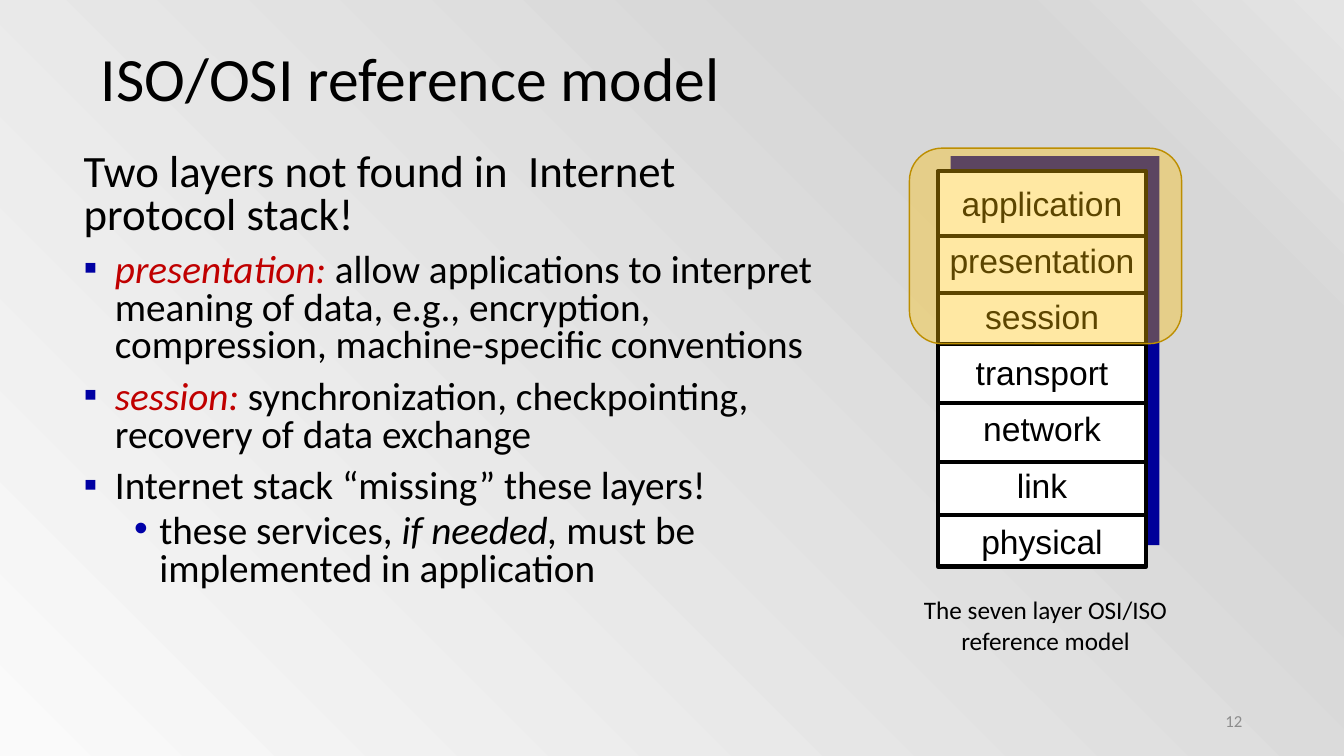
from copy import deepcopy

from lxml.etree import SubElement
from pptx import Presentation
from pptx.dml.color import RGBColor
from pptx.enum.shapes import MSO_CONNECTOR as Connector, MSO_SHAPE as Shape
from pptx.enum.text import MSO_ANCHOR as Anchor, MSO_AUTO_SIZE as AutoSize, PP_ALIGN as Align
from pptx.oxml.ns import qn
from pptx.util import Inches, Pt

BLACK, RED = "000000", "C00000"
BACKGROUND = [(0, "FAFAFA"), (0.74, "D7D7D7"), (0.83, "D7D7D7"), (1, "E4E4E4")]
LAYERS = ["application", "presentation", "session", "transport", "network", "link", "physical"]
DIVIDERS = [0.64, 1.21, 1.71, 2.3, 2.88, 3.41]
LAYER_TERM = {"color": RED, "italic": True}
SQUARE = {"bullet": ("▪", "0000A3"), "indent": (0.31, -0.31), "before": 10}
DOT = {"bullet": ("•", "0000A8"), "indent": (0.75, -0.25), "before": 5, "level": 1}
POINTS = [
    ({"size": 32}, [("Two layers not found in  Internet protocol stack!", {})]),
    (SQUARE, [("presentation: ", LAYER_TERM),
              ("allow applications to interpret meaning of data, e.g., encryption, "
               "compression, machine-specific conventions", {})]),
    (SQUARE, [("session: ", LAYER_TERM),
              ("synchronization, checkpointing, recovery of data exchange", {})]),
    (SQUARE, [("Internet stack “missing” these layers!", {})]),
    (DOT, [("these services, ", {}), ("if needed,", {"italic": True}),
           (" must be implemented in application", {})]),
]


def rgb(value):
    """Turn a hex string into a colour."""
    return RGBColor.from_string(value)


def apply(target, formats):
    """Set every attribute named in a dict of format values."""
    for name, value in formats.items():
        setattr(target, name, value)


def place(part, box):
    """Move a part to a box given in inches."""
    apply(part, dict(zip(("left", "top", "width", "height"), map(Inches, box))))


def add_run(paragraph, text, size, color=BLACK, font="Calibri", italic=False):
    """Append formatted text to a paragraph."""
    run = paragraph.add_run()
    run.text = text
    apply(run.font, {"size": Pt(size), "name": font, "italic": italic})
    run.font.color.rgb = rgb(color)


def set_bullet(paragraph, bullet, indent):
    """Give a paragraph its indents and its bullet, or no bullet."""
    properties = paragraph._p.get_or_add_pPr()
    for name, inches in zip(("marL", "indent"), indent):
        properties.set(name, str(Inches(inches)))
    if bullet is None:
        SubElement(properties, qn("a:buNone"))
        return
    symbol, color = bullet
    SubElement(SubElement(properties, qn("a:buClr")), qn("a:srgbClr")).set("val", color)
    SubElement(properties, qn("a:buFont")).set("typeface", "Arial")
    SubElement(properties, qn("a:buChar")).set("char", symbol)


def add_lines(slide, box, lines, run_format, frame_format, spacing=1.0, before=0, align=Align.CENTER):
    """Add a text box holding one paragraph for each line."""
    frame = slide.shapes.add_textbox(*map(Inches, box)).text_frame
    apply(frame, frame_format)
    for index, text in enumerate(lines):
        paragraph = frame.add_paragraph() if index else frame.paragraphs[0]
        apply(paragraph, {"alignment": align, "line_spacing": spacing,
                          "space_before": Pt(before if index else 0)})
        add_run(paragraph, text, **run_format)


def add_block(slide, box, fill, line=None, line_width=0, kind=Shape.RECTANGLE):
    """Add a filled block, outlined if a line colour is given."""
    block = slide.shapes.add_shape(kind, *map(Inches, box))
    block.shadow.inherit = False
    block.fill.solid()
    block.fill.fore_color.rgb = rgb(fill)
    if line:
        block.line.color.rgb = rgb(line)
        block.line.width = Pt(line_width)
    else:
        block.line.fill.background()
    return block


def paint_background(slide):
    """Fill the slide with a diagonal grey gradient."""
    fill = slide.background.fill
    fill.gradient()
    fill.gradient_angle = 45
    stops = slide.element.find(".//" + qn("a:gsLst"))
    while len(stops) < len(BACKGROUND):
        stops.append(deepcopy(stops[0]))
    for stop, (position, color) in zip(fill.gradient_stops, BACKGROUND):
        stop.position = position
        stop.color.rgb = rgb(color)


def write_title(slide, box):
    """Fill the title placeholder."""
    title = slide.shapes.title
    place(title, box)
    apply(title.text_frame, {"vertical_anchor": Anchor.MIDDLE, "auto_size": AutoSize.NONE})
    paragraph = title.text_frame.paragraphs[0]
    apply(paragraph, {"alignment": Align.LEFT, "line_spacing": 0.9})
    add_run(paragraph, "ISO/OSI reference model", 44)


def write_points(slide, box):
    """Fill the body placeholder with the lead and its points."""
    body = slide.placeholders[1]
    place(body, box)
    frame = body.text_frame
    apply(frame, {"auto_size": AutoSize.NONE, "word_wrap": True})
    for index, (style, runs) in enumerate(POINTS):
        paragraph = frame.add_paragraph() if index else frame.paragraphs[0]
        apply(paragraph, {"level": style.get("level", 0), "line_spacing": 0.8,
                          "space_before": Pt(style.get("before", 0))})
        set_bullet(paragraph, style.get("bullet"), style.get("indent", (0, 0)))
        for text, run_format in runs:
            add_run(paragraph, text, style.get("size", 28), **run_format)


def draw_stack(slide, box):
    """Draw the seven layers with their caption and the marked top three."""
    left, top, width, height = box
    add_block(slide, (left + 0.13, top - 0.15, width, height - 0.06), "000099")
    add_block(slide, box, "FFFFFF", BLACK, 3)
    add_lines(slide, (left - 0.05, top + 0.18, width + 0.1, height - 0.19), LAYERS,
              {"size": 24, "font": "Arial"}, {"word_wrap": True}, 0.7, 20)
    for offset in DIVIDERS:
        y = Inches(top + offset)
        divider = slide.shapes.add_connector(
            Connector.STRAIGHT, Inches(left), y, Inches(left + width), y)
        divider.line.color.rgb = rgb(BLACK)
        divider.line.width = Pt(3)
        SubElement(divider._element.spPr, qn("a:effectLst"))
    add_lines(slide, (left - 0.28, top + 4.15, 2.7, 0.71),
              ["The seven layer OSI/ISO", "reference model"], {"size": 18}, {"word_wrap": False})
    highlight = add_block(slide, (left - 0.28, top - 0.23, 2.7, 1.94), "FFC000",
                          "BD8E00", 1, Shape.ROUNDED_RECTANGLE)
    color = highlight._element.spPr.find(qn("a:solidFill")).find(qn("a:srgbClr"))
    SubElement(color, qn("a:alpha")).set("val", "36000")


def main():
    """Build and save the slide."""
    deck = Presentation()
    apply(deck, {"slide_width": Inches(13.33), "slide_height": Inches(7.5)})
    slide = deck.slides.add_slide(deck.slide_layouts[1])
    paint_background(slide)
    write_title(slide, (0.9, 0.32, 11.5, 0.98))
    write_points(slide, (0.73, 1.47, 7.56, 5.61))
    draw_stack(slide, (9.3, 1.7, 2.07, 3.92))
    add_lines(slide, (9.42, 6.95, 3, 0.4), ["12"], {"size": 12, "color": "8C8C8C"},
              {"vertical_anchor": Anchor.MIDDLE, "word_wrap": True}, align=Align.RIGHT)
    deck.save("out.pptx")


if __name__ == "__main__":
    main()
